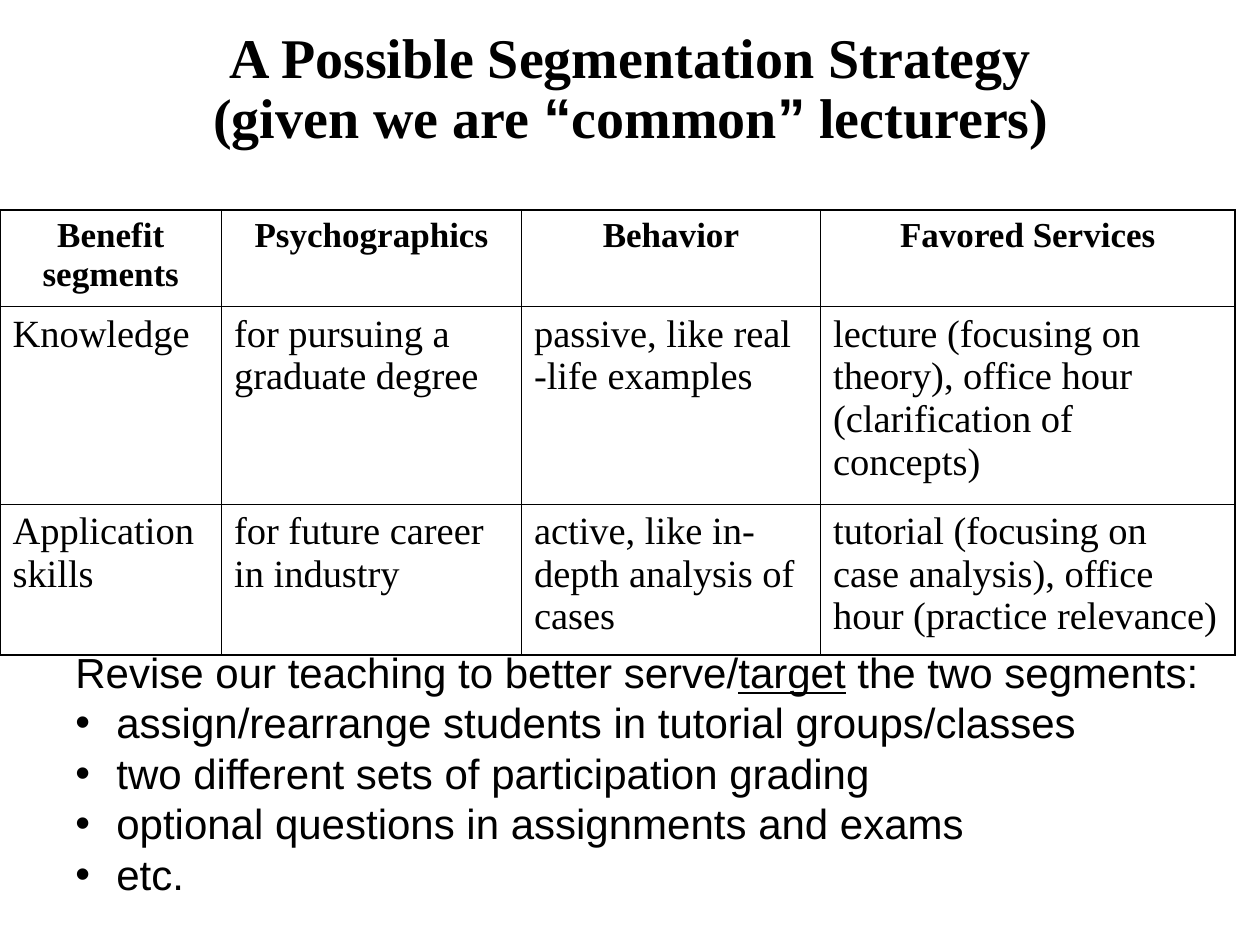
from lxml import etree
from pptx import Presentation
from pptx.dml.color import RGBColor
from pptx.enum.text import MSO_ANCHOR, PP_ALIGN
from pptx.oxml.ns import qn
from pptx.util import Pt

CENTER, LEFT = PP_ALIGN.CENTER, PP_ALIGN.LEFT
MIDDLE, TOP = MSO_ANCHOR.MIDDLE, MSO_ANCHOR.TOP
SERIF, SANS = "Times New Roman", "Arial"
THIN, THICK = 0.45, 1.08

COLUMN_WIDTHS = [126.6, 171.4, 170.9, 236.9]
ROW_HEIGHTS = [51.7, 105.1, 80.3]
SEGMENT_ROWS = [
    ["Benefit segments", "Psychographics", "Behavior", "Favored Services"],
    [
        "Knowledge",
        "for pursuing a graduate degree",
        "passive, like real -life examples",
        "lecture (focusing on theory), office hour (clarification of concepts)",
    ],
    [
        "Application skills",
        "for future career in industry",
        "active, like in-depth analysis of cases",
        "tutorial (focusing on case analysis), office hour (practice relevance)",
    ],
]
ACTIONS = [
    "assign/rearrange students in tutorial groups/classes",
    "two different sets of participation grading",
    "optional questions in assignments and exams",
    "etc.",
]


def color(value):
    return RGBColor.from_string(value)


def apply_format(target, values):
    for name, value in values.items():
        setattr(target, name, value)


class SlideBuilder:
    ink = "000000"
    bullet_indent = Pt(23.4)

    def __init__(self, slide):
        self.slide = slide

    def add_runs(self, paragraph, runs, font, layout):
        apply_format(paragraph, layout)
        for text, changes in runs:
            if text == "\n":
                paragraph.add_line_break()
                continue
            run = paragraph.add_run()
            run.text = text
            apply_format(run.font, {**font, **changes})
            run.font.color.rgb = color(self.ink)

    def bullet(self, paragraph):
        properties = paragraph._p.get_or_add_pPr()
        properties.set("marL", str(self.bullet_indent))
        properties.set("indent", str(-self.bullet_indent))
        bullet_color = etree.SubElement(properties, qn("a:buClr"))
        etree.SubElement(bullet_color, qn("a:srgbClr"), val=self.ink)
        etree.SubElement(properties, qn("a:buFont"), typeface=SANS)
        etree.SubElement(properties, qn("a:buChar"), char="•")

    def text_box(self, bounds, paragraphs, font, layout, anchor):
        shape = self.slide.shapes.add_textbox(*map(Pt, bounds))
        frame = shape.text_frame
        apply_format(frame, {"word_wrap": True, "vertical_anchor": anchor})
        for index, (runs, bulleted) in enumerate(paragraphs):
            paragraph = frame.add_paragraph() if index else frame.paragraphs[0]
            if bulleted:
                self.bullet(paragraph)
            self.add_runs(paragraph, runs, font, layout)

    def border(self, cell, side, width):
        properties = cell._tc.get_or_add_tcPr()
        line = etree.SubElement(properties, qn(f"a:ln{side}"), w=str(Pt(width)))
        fill = etree.SubElement(line, qn("a:solidFill"))
        etree.SubElement(fill, qn("a:srgbClr"), val=self.ink)

    def table(self, left, top, widths, heights, rows):
        bounds = map(Pt, (left, top, sum(widths), sum(heights)))
        table = self.slide.shapes.add_table(len(rows), len(widths), *bounds).table
        apply_format(table, {"first_row": False, "horz_banding": False})
        for column, width in zip(table.columns, widths):
            column.width = Pt(width)
        for row, height in zip(table.rows, heights):
            row.height = Pt(height)
        last_row, last_column = len(rows) - 1, len(widths) - 1
        for row_index, texts in enumerate(rows):
            header = row_index == 0
            font = {"name": SERIF, "size": Pt(20 if header else 22), "bold": header}
            layout = {"alignment": CENTER if header else LEFT}
            for column_index, text in enumerate(texts):
                cell = table.cell(row_index, column_index)
                outer_sides = {
                    "L": column_index == 0,
                    "R": column_index == last_column,
                    "T": header,
                    "B": row_index == last_row,
                }
                for side, outer in outer_sides.items():
                    self.border(cell, side, THICK if outer else THIN)
                cell.fill.background()
                self.add_runs(cell.text_frame.paragraphs[0], [(text, {})], font, layout)


def main():
    presentation = Presentation()
    apply_format(presentation, {"slide_width": Pt(720), "slide_height": Pt(540)})
    slide = presentation.slides.add_slide(presentation.slide_layouts[6])
    builder = SlideBuilder(slide)

    quote = {"name": SANS}
    title = [
        ("A Possible Segmentation Strategy", {}),
        ("\n", {}),
        ("(given we are ", {}),
        ("“", quote),
        ("common", {}),
        ("”", quote),
        (" lecturers)", {}),
    ]
    builder.text_box(
        (36.5, 0, 648, 102.2),
        [(title, False)],
        {"name": SERIF, "size": Pt(32), "bold": True},
        {"alignment": CENTER, "line_spacing": Pt(34.3)},
        MIDDLE,
    )

    builder.table(0, 120, COLUMN_WIDTHS, ROW_HEIGHTS, SEGMENT_ROWS)

    introduction = [
        ("Revise our teaching to better serve/", {}),
        ("target", {"underline": True}),
        (" the two segments:", {}),
    ]
    builder.text_box(
        (36, 365.8, 694.8, 151.2),
        [(introduction, False)] + [([(action, {})], True) for action in ACTIONS],
        {"name": SANS, "size": Pt(24)},
        {"alignment": LEFT, "line_spacing": Pt(28.86)},
        TOP,
    )
    presentation.save("out.pptx")


if __name__ == "__main__":
    main()
